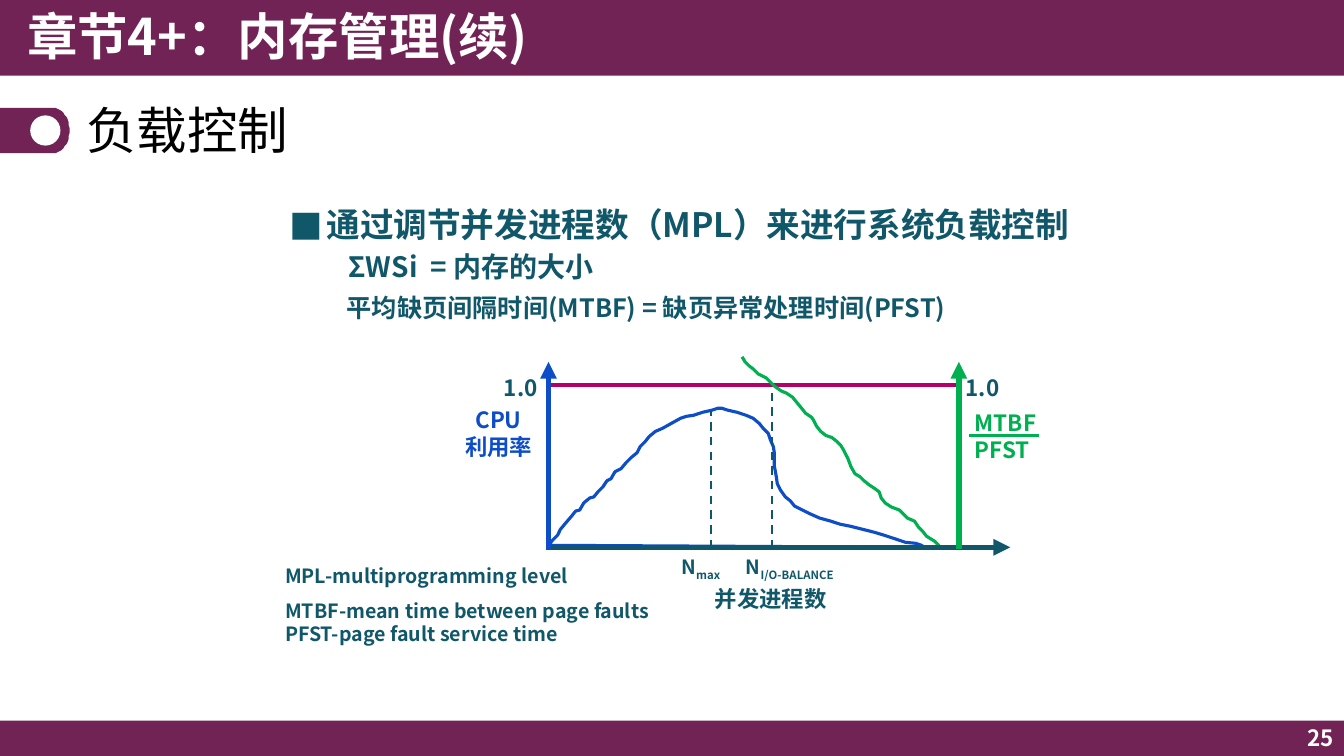
from math import cos, pi, sin

from lxml import etree
from pptx import Presentation
from pptx.dml.color import RGBColor
from pptx.enum.dml import MSO_LINE
from pptx.enum.shapes import MSO_CONNECTOR, MSO_SHAPE
from pptx.enum.text import MSO_ANCHOR, PP_ALIGN
from pptx.oxml.ns import qn
from pptx.util import Inches, Pt

COLORS = {
    "plum": "712355",
    "white": "FFFFFF",
    "black": "000000",
    "teal": "11576A",
    "blue": "0E4DC8",
    "green": "00B050",
    "magenta": "B50069",
}
FONT = "Noto Sans CJK SC"
BULLET_FONT = "Noto Sans CJK JP"
CELL = Inches(0.01)
COLS, ROWS = 1333, 750

CPU_CURVE = [
    (0, 2), (4, 7), (9, 12), (12, 18), (17, 24), (23, 31), (27, 36), (31, 37),
    (35, 44), (41, 49), (45, 50), (49, 55), (54, 60), (58, 66), (62, 68), (66, 75),
    (72, 78), (77, 84), (82, 89), (88, 94), (91, 100), (96, 105), (100, 110),
    (106, 115), (113, 118), (122, 123), (131, 128), (137, 130), (144, 131),
    (153, 134), (162, 136), (168, 138), (172, 138), (178, 136), (187, 134),
    (196, 131), (203, 128), (209, 123), (213, 118), (218, 113), (220, 107),
    (223, 100), (224, 94), (224, 81), (226, 70), (227, 63), (230, 57), (235, 50),
    (240, 46), (244, 41), (252, 37), (260, 33), (269, 29), (280, 26), (289, 23),
    (299, 21), (311, 18), (323, 15), (333, 12), (345, 8), (354, 5), (364, 4),
    (370, 2), (373, 0), (0, 2),
]
FAULT_CURVE = [
    (192, 189), (195, 184), (199, 180), (203, 177), (208, 172), (216, 168),
    (220, 164), (224, 160), (231, 155), (236, 153), (242, 149), (251, 138),
    (255, 133), (261, 129), (263, 126), (266, 120), (270, 115), (275, 111),
    (281, 109), (286, 105), (290, 101), (293, 96), (297, 88), (300, 80), (304, 73),
    (309, 70), (313, 66), (318, 62), (324, 58), (328, 55), (330, 49), (334, 44),
    (340, 40), (348, 37), (356, 29), (363, 26), (367, 20), (371, 16), (375, 11),
    (383, 6), (387, 2), (387, -1),
]


def rgb(name):
    return RGBColor.from_string(COLORS[name])


def paint(sp, color):
    sp.shadow.inherit = False
    sp.fill.solid()
    sp.fill.fore_color.rgb = rgb(color)
    sp.line.fill.background()


def add_block(s, shape, box, color):
    sp = s.shapes.add_shape(shape, *(v * CELL for v in box))
    paint(sp, color)


def add_text(s, box, lines, size, color="teal", bold=True, align=PP_ALIGN.LEFT,
             spacing=1, wrap=True, anchor=MSO_ANCHOR.TOP, font=FONT):
    tf = s.shapes.add_textbox(*(v * CELL for v in box)).text_frame
    tf.word_wrap = wrap
    tf.vertical_anchor = anchor
    for i, line in enumerate(lines):
        p = tf.paragraphs[0] if i == 0 else tf.add_paragraph()
        p.alignment = align
        p.line_spacing = spacing
        parts = line if isinstance(line, tuple) else (line,)
        for j, part in enumerate(parts):
            r = p.add_run()
            r.text = part
            r.font.name = font
            r.font.size = Pt(size)
            r.font.bold = bold
            r.font.color.rgb = rgb(color)
            rPr = r._r.get_or_add_rPr()
            etree.SubElement(rPr, qn("a:ea")).set("typeface", font)
            if j:
                rPr.set("baseline", "-25000")


def add_line(s, start, end, color, width, dashed=False, arrow=False):
    ends = [v * CELL for v in (*start, *end)]
    cx = s.shapes.add_connector(MSO_CONNECTOR.STRAIGHT, *ends)
    cx.line.color.rgb = rgb(color)
    cx.line.width = Pt(width)
    if dashed:
        cx.line.dash_style = MSO_LINE.DASH
    if arrow:
        ln = cx.line._get_or_add_ln()
        etree.SubElement(ln, qn("a:tailEnd")).set("type", "triangle")
    etree.SubElement(cx._element.spPr, qn("a:effectLst"))


def add_outline(s, points, close):
    builder = s.shapes.build_freeform(*points[0], scale=CELL)
    builder.add_line_segments(points[1:], close=close)
    return builder.convert_to_shape()


def add_curve(s, points, color):
    sp = add_outline(s, points, False)
    sp.shadow.inherit = False
    sp.fill.background()
    sp.line.color.rgb = rgb(color)
    sp.line.width = Pt(2.25)


def add_header(s, box):
    x, y, w, h = box
    add_block(s, MSO_SHAPE.RECTANGLE, box, "plum")
    add_text(s, (x + 17, y, w / 2, h), ["章节4+：内存管理(续)"], 36, "white")


def add_footer(s, box):
    x, y, w, h = box
    add_block(s, MSO_SHAPE.RECTANGLE, box, "plum")
    add_text(s, (x + w - 300, y - 1, 300, h), ["25"], 16, "white",
             align=PP_ALIGN.RIGHT, anchor=MSO_ANCHOR.MIDDLE)


def add_title(s, box):
    x, y, w, h = box
    radius = 22.5
    mid = y + 12 + radius
    angles = [pi * (k / 24 - 0.5) for k in range(25)]
    tab = [(x, mid - radius)]
    tab += [(x + 53 + 16 * cos(a), mid + radius * sin(a)) for a in angles]
    tab.append((x, mid + radius))
    paint(add_outline(s, tab, True), "plum")
    add_block(s, MSO_SHAPE.OVAL, (x + 30, mid - 15, 30, 30), "white")
    add_text(s, (x + 76, y, w - 76, h), ["负载控制"], 36, "black", bold=False,
             spacing=0.9, anchor=MSO_ANCHOR.MIDDLE)


def add_points(s, box):
    x, y, w, h = box
    add_text(s, (x, y + 2, 47, 50), ["■"], 24, font=BULLET_FONT)
    add_text(s, (x + 37, y, w - 37, 50),
             ["通过调节并发进程数（MPL）来进行系统负载控制"], 24)
    add_text(s, (x + 59, y + 49, 310, 40), ["ΣWSi  = 内存的大小"], 20, spacing=0.9)
    add_text(s, (x + 57, y + h - 37, 709, 37),
             ["平均缺页间隔时间(MTBF) = 缺页异常处理时间(PFST)"], 18, spacing=0.9)


def add_load_plot(s, box):
    x, y, w, h = box
    base, right, full = y + h, x + w, y + 23

    def place(curve):
        return [(x + dx, base - up) for dx, up in curve]

    def label(at, lines, size=16, color="teal", **style):
        left, top, width, height = at
        add_text(s, (x + left, y + top, width, height), lines, size, color,
                 wrap=False, **style)

    add_curve(s, place(CPU_CURVE), "blue")
    add_line(s, (x + 1, full), (right - 3, full), "magenta", 2.25)
    marks = [(161, 49, 122, 65, ("N", "max")),
             (222, 23, 186, 127, ("N", "I/O-BALANCE"))]
    for dx, top, left, width, name in marks:
        add_line(s, (x + dx, base + 1), (x + dx, y + top), "teal", 1.5, dashed=True)
        label((left, h + 3, width, 33), [name], 14)
    add_curve(s, place(FAULT_CURVE), "green")

    add_line(s, (x - 2, base), (right + 51, base), "teal", 4, arrow=True)
    for axis, color, left in [(x, "blue", -54), (right, "green", w - 3)]:
        add_line(s, (axis, base + 2), (axis, y), color, 4, arrow=True)
        label((left, 7, 54, 37), ["1.0"])
    label((-93, 39, 87, 64), ["CPU", "利用率"], color="blue", align=PP_ALIGN.CENTER)
    label((155, h + 38, 131, 32), ["并发进程数"], align=PP_ALIGN.CENTER, spacing=0.8)
    label((w + 6, 42, 85, 64), ["MTBF", "PFST"], color="green")
    add_line(s, (right + 10, y + 73), (right + 80, y + 73), "green", 2.25)


def add_glossary(s, box):
    x, y, w, h = box
    add_text(s, (x, y, w, 34), ["MPL-multiprogramming level"], 14)
    add_text(s, (x, y + 34, w, h - 34),
             ["MTBF-mean time between page faults", "PFST-page fault service time"], 14)


def main():
    prs = Presentation()
    prs.slide_width, prs.slide_height = COLS * CELL, ROWS * CELL
    s = prs.slides.add_slide(prs.slide_layouts[6])
    add_footer(s, (0, ROWS - 35, COLS, 35))
    add_header(s, (0, 0, COLS, 75))
    add_title(s, (0, 95, 1257, 74))
    add_points(s, (277, 197, 902, 128))
    add_load_plot(s, (544, 359, 407, 184))
    add_glossary(s, (273, 555, 411, 96))
    prs.save("out.pptx")


if __name__ == "__main__":
    main()
